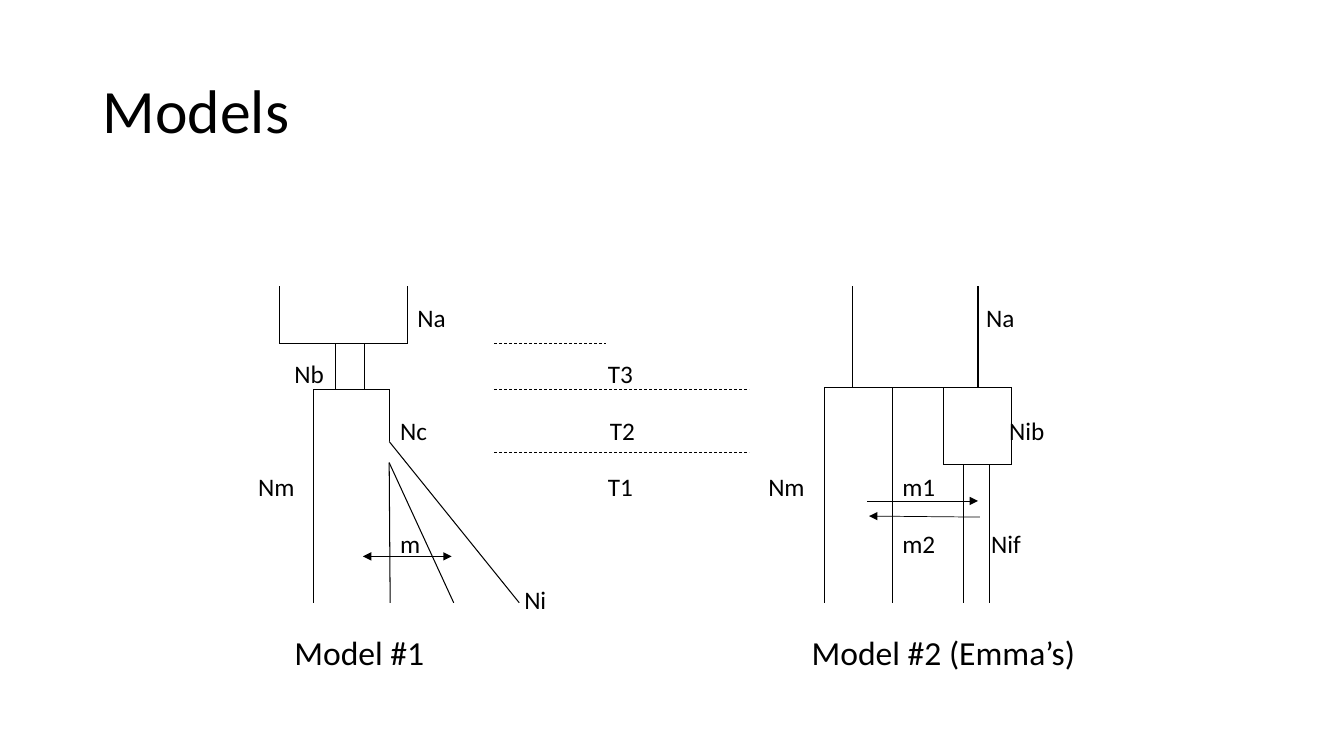
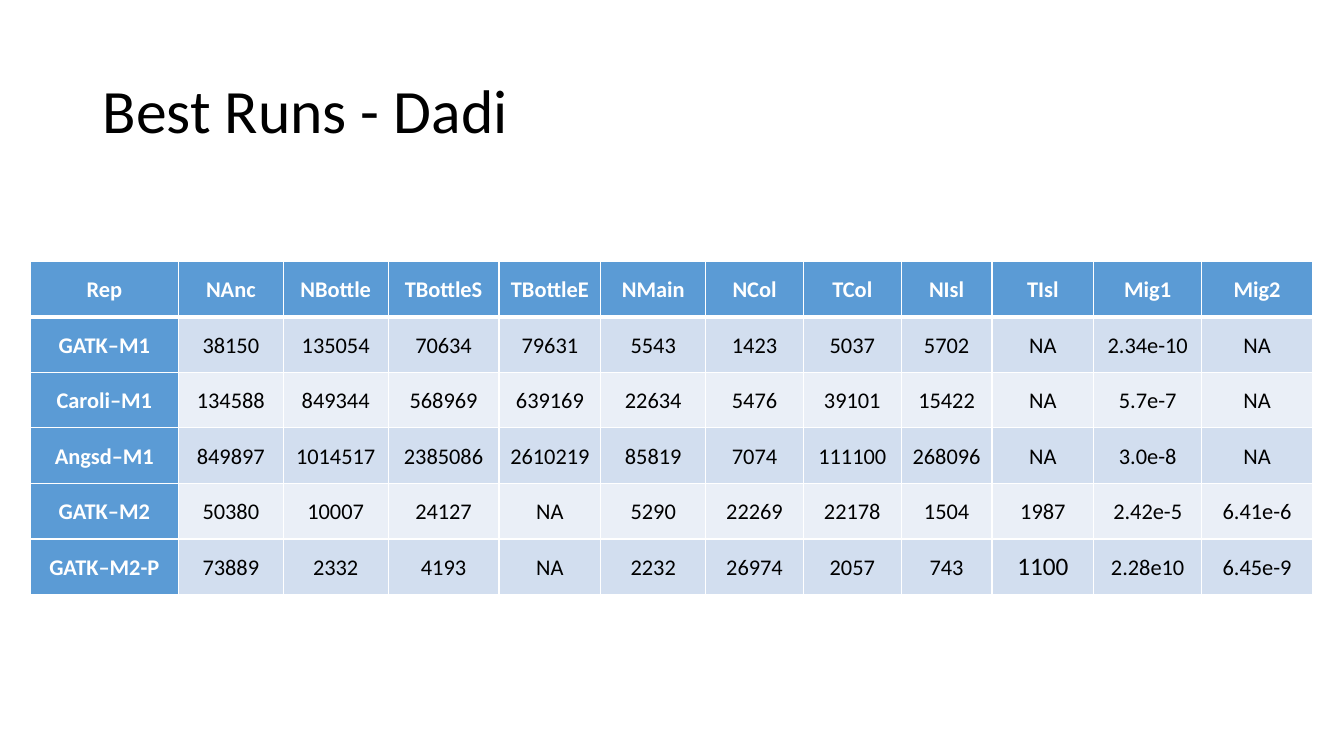
from itertools import pairwise

from lxml.etree import SubElement
from pptx import Presentation
from pptx.dml.color import RGBColor
from pptx.enum.dml import MSO_LINE
from pptx.enum.shapes import MSO_CONNECTOR
from pptx.enum.text import MSO_ANCHOR, PP_ALIGN
from pptx.oxml.ns import qn
from pptx.util import Inches, Pt

COLORS = {
    "ink": "000000",
    "paper": "FFFFFF",
    "header": "5B9BD5",
    "odd": "D2DEEF",
    "even": "EAEFF7",
}
FONT = "Calibri"

deck = Presentation()
deck.slide_width, deck.slide_height = Inches(13.33), Inches(7.5)
CELL = deck.slide_height / 75  # side of one square grid cell
BLANK = deck.slide_layouts[6]


def write(frame, text, size, color="ink", bold=False, **para_format):
    para = frame.paragraphs[0]
    for name, value in para_format.items():
        setattr(para, name, value)
    span = para.add_run()
    span.text = text
    for name, value in {"name": FONT, "size": Pt(size), "bold": bold}.items():
        setattr(span.font, name, value)
    span.font.color.rgb = RGBColor.from_string(COLORS[color])


def add_label(page, text, left, middle, width, height, size, **para_format):
    """Add text that starts at left and is centred vertically on middle, in grid cells."""
    box = page.shapes.add_textbox(*(
        round(part * CELL) for part in (left, middle - height / 2, width, height)))
    frame = box.text_frame
    frame_format = {
        "word_wrap": True, "vertical_anchor": MSO_ANCHOR.MIDDLE,
        "margin_left": 0, "margin_right": 0, "margin_top": 0, "margin_bottom": 0,
    }
    for name, value in frame_format.items():
        setattr(frame, name, value)
    write(frame, text, size, **para_format)


pages = []
for title in ("Models", "Best Runs - Dadi"):
    page = deck.slides.add_slide(BLANK)
    add_label(page, title, 10.2, 11.25, 113, 14.5, 44, line_spacing=0.9)
    pages.append(page)
models_page, runs_page = pages

# Models: levels of time, from past to present
PAST, BOTTLENECK, SPLIT, PRESENT = 28.4, 34.1, 38.6, 59.8
SPLIT_2, ISLAND_END = 38.4, 46.1

outlines = [
    # Model #1: ancestral, bottleneck, main and island populations
    [(27.7, PAST), (27.7, BOTTLENECK), (40.4, BOTTLENECK), (40.4, PAST)],
    [(33.3, BOTTLENECK), (33.3, SPLIT)],
    [(36.2, BOTTLENECK), (36.2, SPLIT)],
    [(31.1, PRESENT), (31.1, SPLIT), (38.6, SPLIT), (38.6, 43.8), (51.5, PRESENT)],
    [(38.7, PRESENT), (38.6, 45.9), (45, PRESENT)],
    # Model #2: ancestral, main and island populations
    [(84.6, PAST), (84.6, SPLIT_2)],
    [(97, PAST), (97, SPLIT_2)],
    [(81.8, PRESENT), (81.8, SPLIT_2), (100.3, SPLIT_2),
     (100.3, ISLAND_END), (93.6, ISLAND_END), (93.6, SPLIT_2)],
    [(88.5, SPLIT_2), (88.5, PRESENT)],
    [(95.6, ISLAND_END), (95.6, PRESENT)],
    [(98.1, ISLAND_END), (98.1, PRESENT)],
]
time_marks = [
    [(49, BOTTLENECK), (60.1, BOTTLENECK)],
    [(49, SPLIT), (74.3, SPLIT)],
    [(49, 44.9), (74.3, 44.9)],
]
two_way_arrows = [[(36, 55.2), (44.8, 55.2)]]
one_way_arrows = [[(86, 49.7), (97, 49.7)], [(97.2, 51.3), (86.2, 51.2)]]

line_groups = [
    (outlines, 0.75, None, ()),
    (time_marks, 0.5, MSO_LINE.DASH, ()),
    (two_way_arrows, 0.5, None, ("headEnd", "tailEnd")),
    (one_way_arrows, 0.5, None, ("tailEnd",)),
]
for paths, weight, dash, arrowheads in line_groups:
    for points in paths:
        for start, end in pairwise(points):
            connector = models_page.shapes.add_connector(
                MSO_CONNECTOR.STRAIGHT, *(round(part * CELL) for part in start + end))
            line = connector.line
            line.color.rgb = RGBColor.from_string(COLORS["ink"])
            line.width = Pt(weight)
            if dash:
                line.dash_style = dash
            properties = connector._element.spPr
            for arrowhead in arrowheads:
                SubElement(properties.find(qn("a:ln")), qn(f"a:{arrowhead}"), type="triangle")
            SubElement(properties, qn("a:effectLst"))

# One row of labels per step, each with its left edge
label_rows = [
    [("Na", 41.4), ("Na", 97.8)],
    [("Nb", 29.2), ("T3", 60.3)],
    [("Nc", 39.7), ("T2", 60.5), ("Nib", 100.1)],
    [("Nm", 25.6), ("T1", 60.3), ("Nm", 76.2), ("m1", 89.5)],
    [("m", 39.7), ("m2", 89.5), ("Nif", 98.3)],
    [("Ni", 52)],
]
for row, labels in enumerate(label_rows):
    for text, left in labels:
        add_label(models_page, text, left, 31.5 + 5.6 * row, 6, 4, 18)
for text, left in (("Model #1", 29.2), ("Model #2 (Emma’s)", 80.5)):
    add_label(models_page, text, left, 64.7, 40, 5, 24)

# Best runs
runs = [
    ["Rep", "NAnc", "NBottle", "TBottleS", "TBottleE", "NMain",
     "NCol", "TCol", "NIsl", "TIsl", "Mig1", "Mig2"],
    ["GATK–M1", "38150", "135054", "70634", "79631", "5543",
     "1423", "5037", "5702", "NA", "2.34e-10", "NA"],
    ["Caroli–M1", "134588", "849344", "568969", "639169", "22634",
     "5476", "39101", "15422", "NA", "5.7e-7", "NA"],
    ["Angsd–M1", "849897", "1014517", "2385086", "2610219", "85819",
     "7074", "111100", "268096", "NA", "3.0e-8", "NA"],
    ["GATK–M2", "50380", "10007", "24127", "NA", "5290",
     "22269", "22178", "1504", "1987", "2.42e-5", "6.41e-6"],
    ["GATK–M2-P", "73889", "2332", "4193", "NA", "2232",
     "26974", "2057", "743", "1100", "2.28e10", "6.45e-9"],
]
column_widths = [14.7, 10.4, 10.4, 11, 10.1, 10.4, 9.7, 9.7, 9, 10.1, 10.7, 11]
table = runs_page.shapes.add_table(
    len(runs), len(column_widths),
    *(round(part * CELL) for part in (3, 25.9, sum(column_widths), 33.1))).table
table.first_row = table.horz_banding = False
for column, width in zip(table.columns, column_widths):
    column.width = round(width * CELL)

cell_format = {
    "vertical_anchor": MSO_ANCHOR.MIDDLE,
    "margin_left": Inches(0.07), "margin_right": Inches(0.07),
    "margin_top": 0, "margin_bottom": 0,
}
for row, values in enumerate(runs):
    for column, value in enumerate(values):
        cell = table.cell(row, column)
        for name, setting in cell_format.items():
            setattr(cell, name, setting)
        heading = row == 0 or column == 0
        large = value == "1100"
        write(cell.text_frame, value, 18 if large else 16,
              "paper" if heading else "ink", heading,
              alignment=PP_ALIGN.CENTER, line_spacing=1 if large else 1.07)

        properties = cell._tc.get_or_add_tcPr()
        for side in "LRTB":
            below_header = (row, side) in ((0, "B"), (1, "T"))
            border = SubElement(properties, qn(f"a:ln{side}"),
                                w=str(Pt(3 if below_header else 1)))
            SubElement(SubElement(border, qn("a:solidFill")), qn("a:srgbClr"),
                       val=COLORS["paper"])
        fill = "header" if heading else "odd" if row % 2 else "even"
        cell.fill.solid()
        cell.fill.fore_color.rgb = RGBColor.from_string(COLORS[fill])

deck.save("out.pptx")
